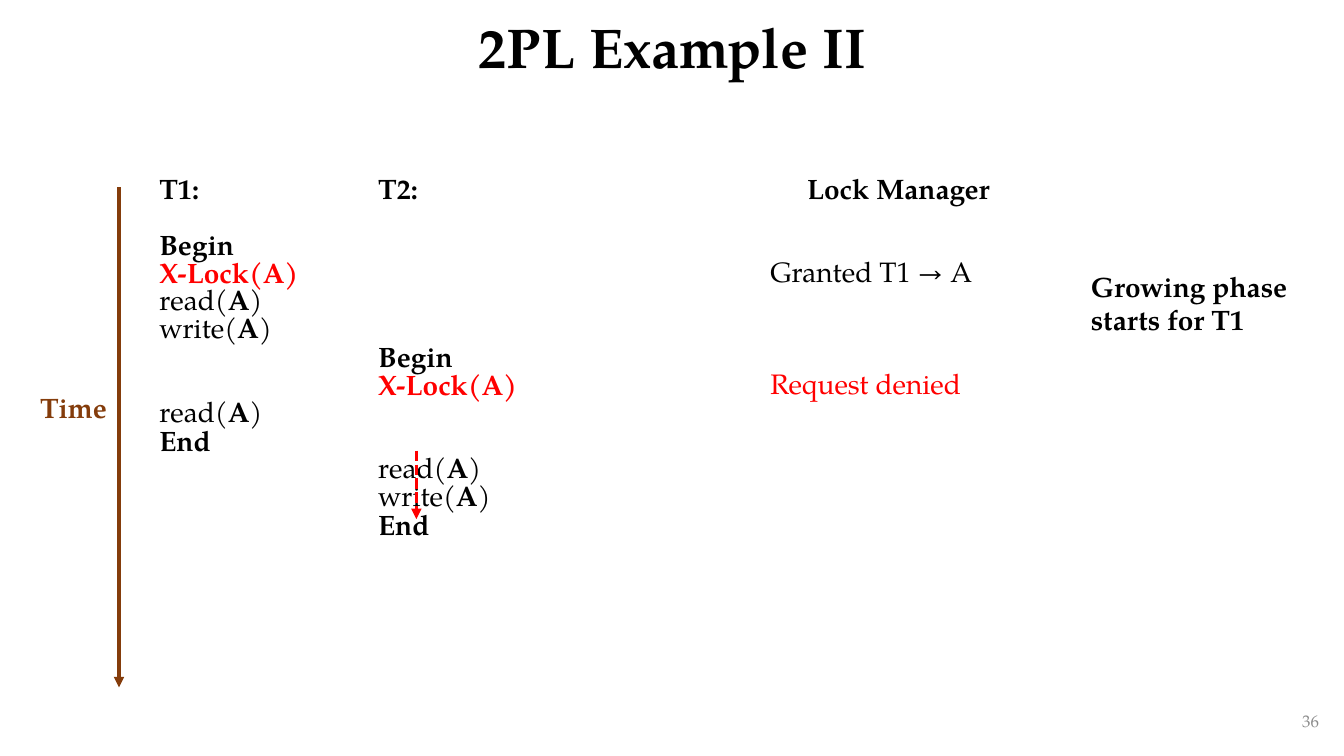
from lxml.etree import SubElement
from pptx import Presentation
from pptx.dml.color import RGBColor
from pptx.enum.dml import MSO_LINE
from pptx.enum.shapes import MSO_CONNECTOR
from pptx.enum.text import MSO_ANCHOR, PP_ALIGN
from pptx.oxml.ns import qn
from pptx.util import Inches, Pt

FONT = "TeX Gyre Pagella"
BLACK = RGBColor(0x00, 0x00, 0x00)
RED = RGBColor(0xFF, 0x00, 0x00)
BROWN = RGBColor(0x84, 0x3C, 0x0B)
GRAY = RGBColor(0x8C, 0x8C, 0x8C)
LINE_PITCH = 20

BEGIN = [("Begin", True, BLACK)]
X_LOCK = [("X-Lock(A)", True, RED)]
END = [("End", True, BLACK)]


def call(name):
    return [(f"{name}(", False, BLACK), ("A", True, BLACK), (")", False, BLACK)]


T1_STEPS = [
    (0, [("T1:", True, BLACK)]),
    (2, BEGIN),
    (3, X_LOCK),
    (4, call("read")),
    (5, call("write")),
    (8, call("read")),
    (9, END),
]
T2_STEPS = [
    (0, [("T2:", True, BLACK)]),
    (6, BEGIN),
    (7, X_LOCK),
    (10, call("read")),
    (11, call("write")),
    (12, END),
]
LOCK_STEPS = [
    (0, [("Lock Manager", True, BLACK)]),
    (3, [("Granted T1 → A", False, BLACK)]),
    (7, [("Request denied", False, RED)]),
]


def add_run(p, text, bold, color, size=20):
    r = p.add_run()
    r.text = text
    r.font.name = FONT
    r.font.size = Pt(size)
    r.font.bold = bold
    r.font.color.rgb = color


def set_title(s, text):
    title = s.shapes.title
    title.left, title.top = Inches(0.92), Inches(0)
    title.width, title.height = Inches(11.5), Inches(0.99)
    tf = title.text_frame
    tf.vertical_anchor = MSO_ANCHOR.MIDDLE
    p = tf.paragraphs[0]
    p.alignment = PP_ALIGN.CENTER
    p.line_spacing = 0.9
    add_run(p, text, True, BLACK, 40)


def add_label(s, box, text, color, bold=True, size=20,
              align=PP_ALIGN.LEFT, anchor=MSO_ANCHOR.TOP):
    tf = s.shapes.add_textbox(*map(Inches, box)).text_frame
    tf.word_wrap = True
    tf.vertical_anchor = anchor
    p = tf.paragraphs[0]
    p.alignment = align
    add_run(p, text, bold, color, size)


def fill_schedule(cell, steps, heading_align):
    cell.fill.background()
    tf = cell.text_frame
    previous = 0
    for i, (line, runs) in enumerate(steps):
        p = tf.add_paragraph() if i else tf.paragraphs[0]
        p.alignment = PP_ALIGN.LEFT if i else heading_align
        p.line_spacing = Pt(LINE_PITCH)
        if i:
            p.space_before = Pt((line - previous - 1) * LINE_PITCH)
        for run in runs:
            add_run(p, *run)
        previous = line


def add_schedule(s, left, widths, columns, heading_align=PP_ALIGN.LEFT):
    table = s.shapes.add_table(1, len(columns), Inches(left), Inches(1.72),
                               Inches(sum(widths)), Inches(3.36)).table
    table.first_row = False
    table.horz_banding = False
    for i, (width, steps) in enumerate(zip(widths, columns)):
        table.columns[i].width = Inches(width)
        fill_schedule(table.cell(0, i), steps, heading_align)


def add_down_arrow(s, x, top, bottom, color, dash=None):
    arrow = s.shapes.add_connector(MSO_CONNECTOR.STRAIGHT, Inches(x), Inches(top),
                                   Inches(x), Inches(bottom))
    arrow.line.color.rgb = color
    arrow.line.width = Pt(2.5)
    if dash:
        arrow.line.dash_style = dash
    SubElement(arrow.line._get_or_add_ln(), qn("a:tailEnd"), type="triangle")
    SubElement(arrow._element.spPr, qn("a:effectLst"))


def main():
    prs = Presentation()
    prs.slide_width, prs.slide_height = Inches(13.33), Inches(7.5)
    s = prs.slides.add_slide(prs.slide_layouts[5])
    set_title(s, "2PL Example II")
    add_label(s, (10.18, 6.95, 3, 0.4), "36", GRAY, False, 12,
              PP_ALIGN.RIGHT, MSO_ANCHOR.MIDDLE)
    add_schedule(s, 1.48, [2.17, 2.05], [T1_STEPS, T2_STEPS])
    add_down_arrow(s, 1.18, 1.86, 6.82, BROWN)
    add_label(s, (0.3, 3.83, 0.89, 0.44), "Time", BROWN)
    add_schedule(s, 7.54, [2.74], [LOCK_STEPS], PP_ALIGN.CENTER)
    add_label(s, (10.72, 2.62, 2.28, 0.77), "Growing phase starts for T1", BLACK)
    add_down_arrow(s, 4.13, 4.47, 5.15, RED, MSO_LINE.SQUARE_DOT)
    prs.save("out.pptx")


if __name__ == "__main__":
    main()
